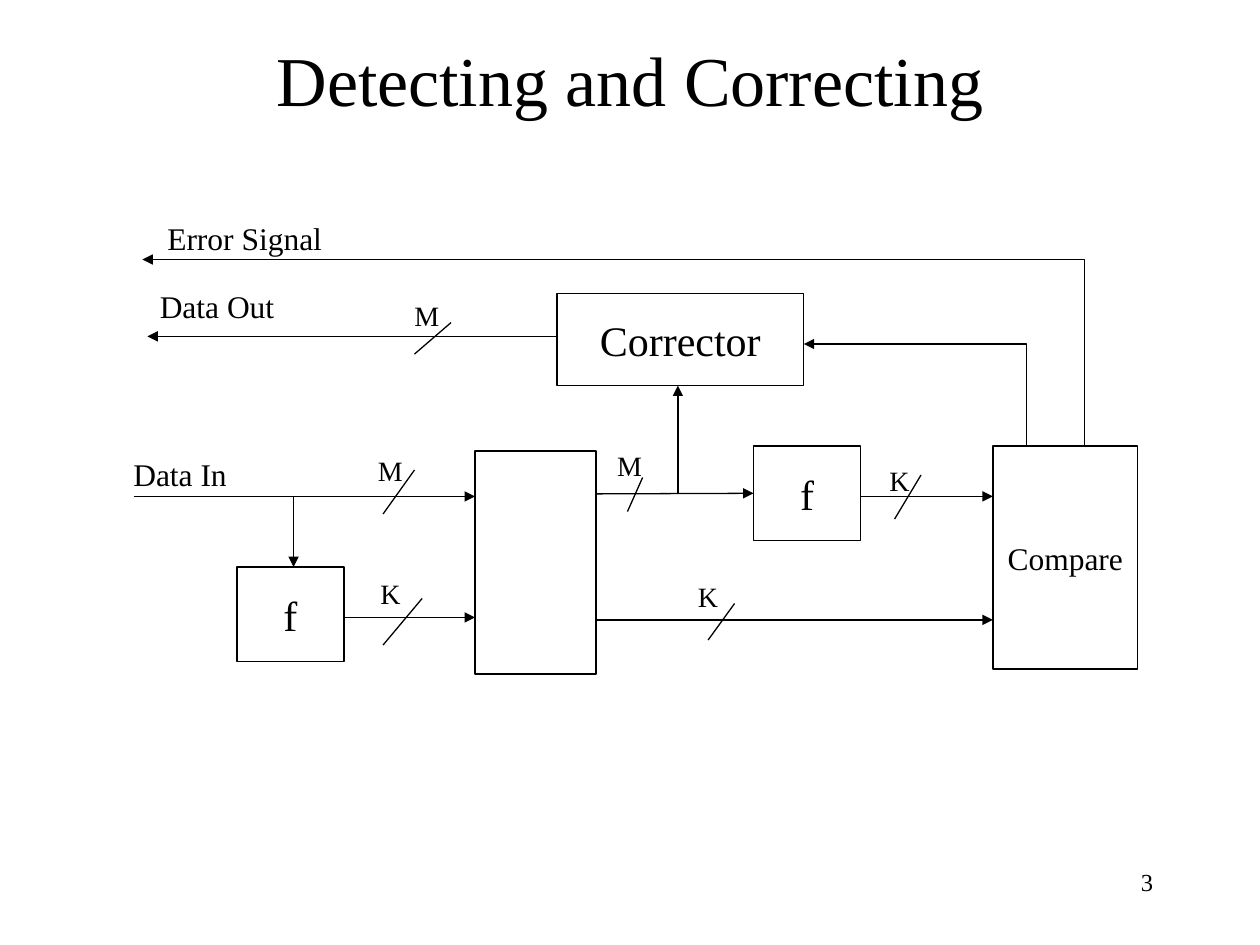
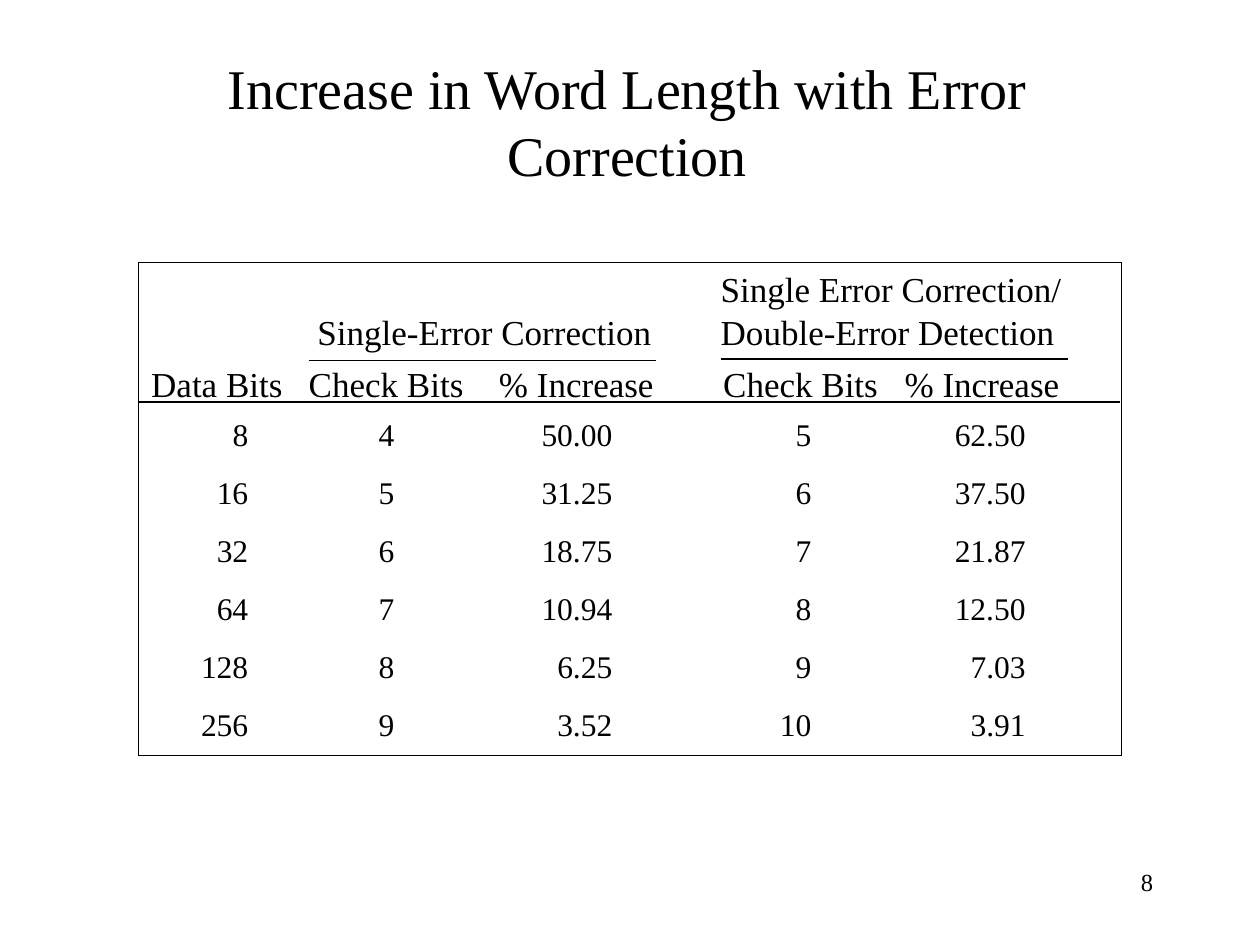
from lxml.etree import SubElement
from pptx import Presentation
from pptx.dml.color import RGBColor
from pptx.enum.shapes import MSO_CONNECTOR, MSO_SHAPE
from pptx.enum.text import MSO_ANCHOR, PP_ALIGN
from pptx.oxml.ns import qn
from pptx.util import Inches, Pt

FONT, INK, THIN = "Times New Roman", "000000", 0.75
LEFT, CENTER, RIGHT = PP_ALIGN.LEFT, PP_ALIGN.CENTER, PP_ALIGN.RIGHT
TOP, MIDDLE, BOTTOM = MSO_ANCHOR.TOP, MSO_ANCHOR.MIDDLE, MSO_ANCHOR.BOTTOM
NO_STYLE = "{2D5ABB26-0587-4C30-8999-92F81FD0307C}"

# name: (text, size, (left, top, width, height))
BOXES = {
    "memory": ("", 18, (3.77, 3.58, 0.96, 1.77)),
    "f in": ("f", 24, (1.88, 4.5, 0.85, 0.75)),
    "f out": ("f", 24, (5.98, 3.54, 0.85, 0.75)),
    "corrector": ("Corrector", 24, (4.42, 2.33, 1.96, 0.73)),
    "compare": ("Compare", 18, (7.88, 3.54, 1.15, 1.77)),
}
# an end is a point, or a box and its side (0 top, 1 left, 2 bottom, 3 right)
ARROWS = [
    ((1.06, 3.94), (3.77, 3.94)),
    ((2.33, 3.94), (2.33, 4.5)),
    ((2.73, 4.9), (3.77, 4.9)),
    ((6.83, 3.94), (7.88, 3.94)),
    ((4.73, 3.92), ("f out", 1)),
    ((5.38, 3.92), (5.38, 3.06)),
    ((4.73, 4.92), (7.88, 4.92)),
    ((4.42, 2.67), (1.17, 2.67)),
]
BENDS = [
    [(8.15, 3.54), (8.15, 2.73), (6.38, 2.73)],
    [(8.61, 3.54), (8.61, 2.06), (1.13, 2.06)],
]
# bus width, label corner, slash from, slash to
BUSES = [
    ("M", (2.9, 3.55), (3.29, 3.73), (3.04, 4.08)),
    ("M", (4.8, 3.51), (5.1, 3.79), (4.98, 4.06)),
    ("M", (3.19, 2.32), (3.58, 2.56), (3.29, 2.81)),
    ("K", (2.92, 4.53), (3.35, 4.75), (3.04, 5.12)),
    ("K", (5.44, 4.55), (5.83, 4.79), (5.62, 5.08)),
    ("K", (6.96, 3.63), (7.31, 3.77), (7.1, 4.12)),
]
SIGNALS = [
    ("Data In", (0.96, 3.56)),
    ("Data Out", (1.17, 2.23)),
    ("Error Signal", (1.23, 1.69)),
]

# first column, lines, indent
GROUPS = [
    (1, ["Single-Error Correction"], 0.07),
    (4, ["Single Error Correction/", "Double-Error Detection"], 0),
]
# column: (head, head indent, right margin of its figures)
HEADS = {
    0: ("Data Bits", 0.1, 0.48),
    1: ("Check Bits", 0, 0.7),
    2: ("% Increase", 0.13, 0.35),
    4: ("Check Bits", 0.02, 0.66),
    5: ("% Increase", 0.08, 0.34),
}
ROWS = [
    ("8", "4", "50.00", "5", "62.50"),
    ("16", "5", "31.25", "6", "37.50"),
    ("32", "6", "18.75", "7", "21.87"),
    ("64", "7", "10.94", "8", "12.50"),
    ("128", "8", "6.25", "9", "7.03"),
    ("256", "9", "3.52", "10", "3.91"),
]
WIDTHS = [1.35, 1.38, 1.38, 0.51, 1.38, 1.38, 0.42]
HEIGHTS = [0.8, 0.33] + [0.46] * (len(ROWS) - 1) + [0.48]
RULES = [
    ((1.1, 3.19), (8.89, 3.19)),
    ((2.45, 2.86), (5.21, 2.86)),
    ((5.72, 2.85), (8.48, 2.85)),
]


def color(code):
    return RGBColor.from_string(code)


def inches(nums):
    return [Inches(n) for n in nums]


def write(frame, lines, size, align=LEFT, anchor=TOP, pads=(0.1, 0.05, 0.1, 0.05), gap=0):
    """Fill a text frame or table cell; pads run left, top, right, bottom."""
    (frame.margin_left, frame.margin_top,
     frame.margin_right, frame.margin_bottom) = inches(pads)
    frame.vertical_anchor = anchor
    body = getattr(frame, "text_frame", frame)
    for i, line in enumerate(lines):
        para = body.add_paragraph() if i else body.paragraphs[0]
        para.alignment = align
        if i:
            para.space_before = Pt(gap)
        run = para.add_run()
        run.text = line
        run.font.name, run.font.size = FONT, Pt(size)
        run.font.color.rgb = color(INK)


def label(slide, text, at, size, align=LEFT, anchor=TOP, wrap=True):
    frame = slide.shapes.add_textbox(*inches(at)).text_frame
    frame.word_wrap = wrap
    write(frame, [text], size, align, anchor)


def stroke(shape, arrow=False):
    shape.line.color.rgb = color(INK)
    shape.line.width = Pt(THIN)
    if arrow:
        SubElement(shape.line._get_or_add_ln(), qn("a:tailEnd"), type="triangle")


def point(end):
    """Place of an end, which may be the middle of a box's side."""
    if end[0] not in BOXES:
        return end
    x, y, w, h = BOXES[end[0]][2]
    return [(x + w / 2, y), (x, y + h / 2), (x + w / 2, y + h), (x + w, y + h / 2)][end[1]]


def wire(slide, start, stop, arrow=False, shapes=()):
    line = slide.shapes.add_connector(
        MSO_CONNECTOR.STRAIGHT, *inches((*point(start), *point(stop))))
    if start[0] in shapes:
        line.begin_connect(shapes[start[0]], start[1])
    if stop[0] in shapes:
        line.end_connect(shapes[stop[0]], stop[1])
    stroke(line, arrow)
    SubElement(line._element.spPr, qn("a:effectLst"))


def bend(slide, points):
    spots = [tuple(inches(p)) for p in points]
    build = slide.shapes.build_freeform(*spots[0])
    build.add_line_segments(spots[1:], close=False)
    shape = build.convert_to_shape()
    shape.fill.background()
    shape.shadow.inherit = False
    stroke(shape, True)


def box(slide, text, size, at):
    shape = slide.shapes.add_shape(MSO_SHAPE.RECTANGLE, *inches(at))
    shape.fill.background()
    shape.shadow.inherit = False
    stroke(shape)
    if text:
        shape.text_frame.word_wrap = False
        write(shape.text_frame, [text], size, CENTER, MIDDLE)
    return shape


def page(deck, title, corner, size, number):
    slide = deck.slides.add_slide(deck.slide_layouts[6])
    label(slide, title, (*corner, 8.5, 1.25), size, CENTER, MIDDLE)
    label(slide, number, (7.17, 6.83, 2.08, 0.5), 14, RIGHT)
    return slide


def diagram(slide):
    shapes = {name: box(slide, *spec) for name, spec in BOXES.items()}
    for start, stop in ARROWS:
        wire(slide, start, stop, True, shapes)
    for points in BENDS:
        bend(slide, points)
    for text, corner, start, stop in BUSES:
        label(slide, text, (*corner, 0.39, 0.37), 16, wrap=False)
        wire(slide, start, stop)
    for text, corner in SIGNALS:
        label(slide, text, (*corner, 1.43, 0.4), 18, wrap=False)


def border(cell, sides):
    props = cell._tc.get_or_add_tcPr()
    for side in sides:
        line = SubElement(props, qn("a:ln" + side), w=str(Pt(THIN)))
        fill = SubElement(line, qn("a:solidFill"))
        SubElement(fill, qn("a:srgbClr"), val=INK)


def grid(slide):
    at = (1.1, 2.08, sum(WIDTHS), sum(HEIGHTS))
    table = slide.shapes.add_table(len(HEIGHTS), len(WIDTHS), *inches(at)).table
    table.first_row = table.horz_banding = False
    table._tbl.tblPr.find(qn("a:tableStyleId")).text = NO_STYLE
    for col, width in zip(table.columns, WIDTHS):
        col.width = Inches(width)
    for row, height in zip(table.rows, HEIGHTS):
        row.height = Inches(height)

    end_row, end_col = len(HEIGHTS) - 1, len(WIDTHS) - 1
    for r in range(end_row + 1):
        for c in range(end_col + 1):
            cell = table.cell(r, c)
            write(cell, [], 18, pads=(0, 0, 0, 0))
            marks = {"L": c == 0, "R": c == end_col, "T": r == 0, "B": r == end_row}
            border(cell, [side for side, on in marks.items() if on])
            cell.fill.background()

    for first, lines, indent in GROUPS:
        cell = table.cell(0, first)
        cell.merge(table.cell(0, first + 1))
        write(cell, lines, 20, LEFT, BOTTOM, (indent, 0, 0, 0.08), gap=2)
    for c, (head, indent, _) in HEADS.items():
        write(table.cell(1, c), [head], 20, LEFT, BOTTOM, (indent, 0, 0, 0))
    for r, row in enumerate(ROWS, 2):
        for (c, (_, _, margin)), value in zip(HEADS.items(), row):
            write(table.cell(r, c), [value], 18, RIGHT, TOP, (0, 0.11, margin, 0))
    for start, stop in RULES:
        wire(slide, start, stop)


def main():
    deck = Presentation()
    deck.slide_width, deck.slide_height = inches((10, 7.5))
    diagram(page(deck, "Detecting and Correcting", (0.75, 0), 40, "3"))
    grid(page(deck, "Increase in Word Length with Error Correction", (0.73, 0.33), 32, "8"))
    deck.save("out.pptx")


if __name__ == "__main__":
    main()
